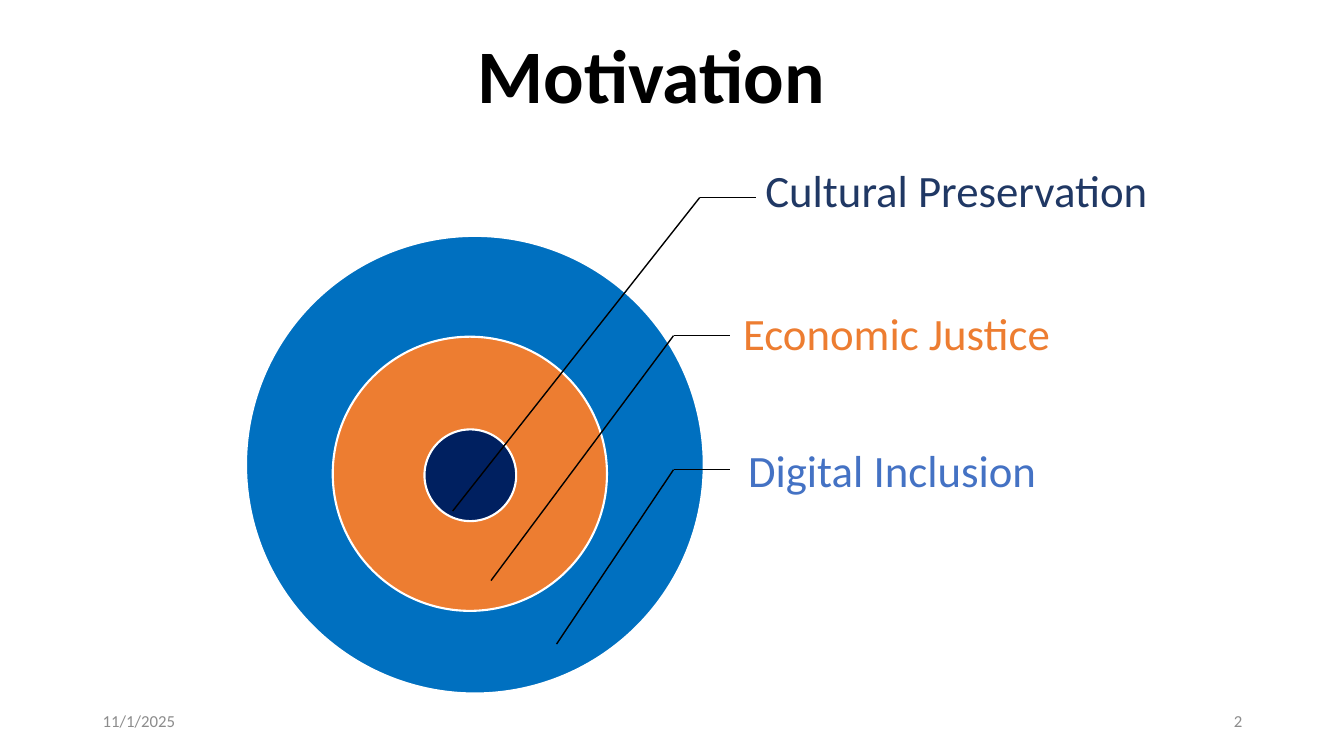
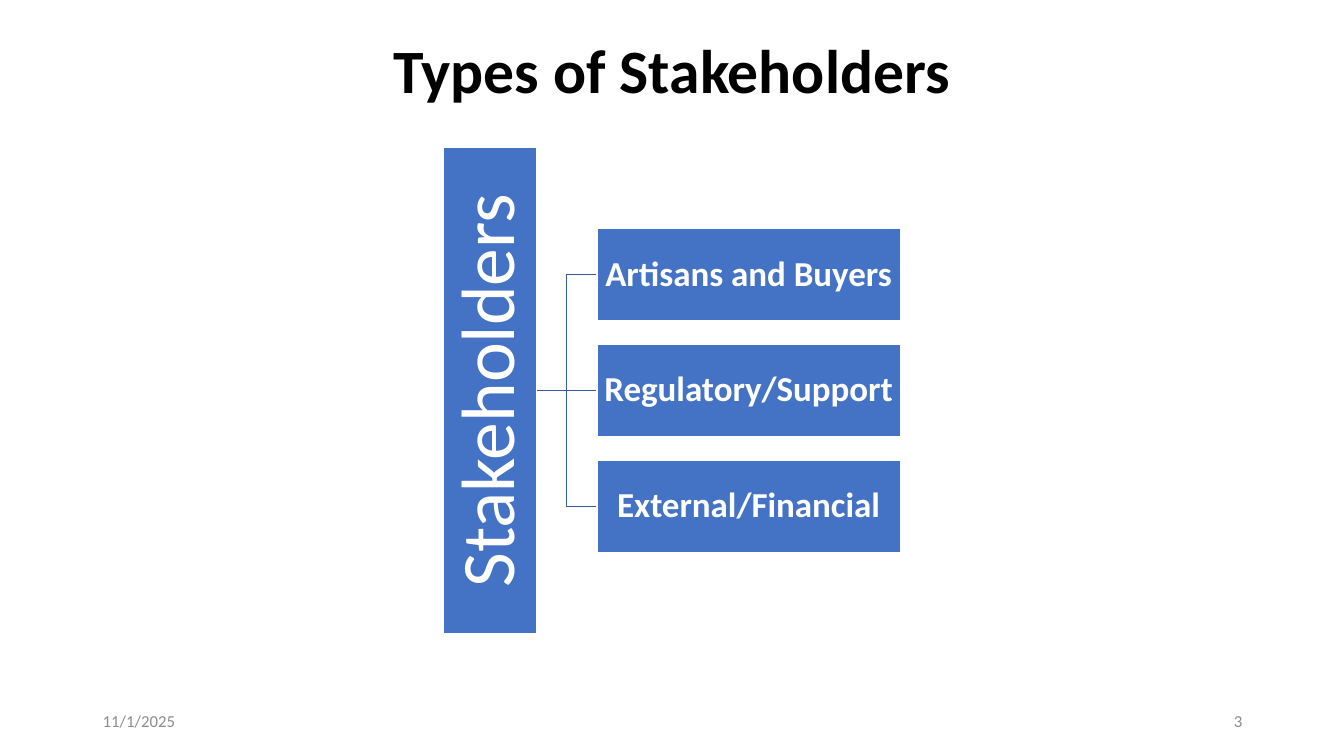
from lxml import etree
from pptx import Presentation
from pptx.dml.color import RGBColor as Rgb
from pptx.enum.shapes import MSO_CONNECTOR as Conn, MSO_SHAPE as Kind
from pptx.enum.text import MSO_ANCHOR as Anchor, PP_ALIGN as Align
from pptx.oxml.ns import qn
from pptx.util import Inches, Pt

FONT = "Calibri"
DATE = "11/1/2025"
COLORS = {
    "black": "000000", "white": "FFFFFF", "gray": "8C8C8C",
    "ring": "0070C0", "orange": "ED7D31", "core": "002060",
    "navy": "203864", "blue": "4472C4", "link": "365B9D",
}


def tint(name):
    return Rgb.from_string(COLORS[name])


def write(shape, text, size, color, bold=False, align=Align.LEFT,
          pads=(0.1, 0.05, 0.1, 0.05), space=0.9):
    """Fill a shape with one line of text, centred in height."""
    frame = shape.text_frame
    frame.word_wrap = True
    frame.vertical_anchor = Anchor.MIDDLE
    frame.margin_left, frame.margin_top, frame.margin_right, frame.margin_bottom = map(Inches, pads)
    para = frame.paragraphs[0]
    para.alignment = align
    para.line_spacing = space
    run = para.add_run()
    run.text = text
    font = run.font
    font.name, font.size, font.bold = FONT, Pt(size), bold
    font.color.rgb = tint(color)


def label(slide, box, text, size, color, **style):
    shape = slide.shapes.add_textbox(*map(Inches, box))
    write(shape, text, size, color, **style)


def block(slide, kind, box, fill, width):
    """Filled shape with a white edge."""
    shape = slide.shapes.add_shape(kind, *map(Inches, box))
    shape.shadow.inherit = False
    shape.fill.solid()
    shape.fill.fore_color.rgb = tint(fill)
    shape.line.color.rgb = tint("white")
    shape.line.width = Pt(width)
    return shape


def link(slide, start, end, color, kind=Conn.STRAIGHT):
    line = slide.shapes.add_connector(kind, *map(Inches, start + end))
    line.line.color.rgb = tint(color)
    line.line.width = Pt(1)
    etree.SubElement(line._element.spPr, qn("a:effectLst"))


def title(slide, box, text, size, space):
    label(slide, box, text, size, "black", bold=True, align=Align.CENTER, space=space)


def footer(slide, number):
    for left, text, align in ((0.92, DATE, Align.LEFT), (9.42, str(number), Align.RIGHT)):
        label(slide, (left, 6.95, 3, 0.4), text, 12, "gray", align=align, space=1)


def target(slide, left, top):
    """Nested circles, each with a bent leader and a label."""
    # Circles: offset, diameter, fill
    for x, y, size, fill in ((0, 0.89, 4.54, "ring"),
                             (0.86, 1.89, 2.72, "orange"),
                             (1.77, 2.81, 0.91, "core")):
        block(slide, Kind.OVAL, (left + x, top + y, size, size), fill, 1.5)

    # Labels: text, colour, box, leader knee and tip
    rows = (
        ("Cultural Preservation", "navy", (4.9, 0, 5.99, 0.92), (4.5, 0.51), (2.05, 3.62)),
        ("Economic Justice", "orange", (4.68, 1.49, 3.52, 0.79), (4.24, 1.88), (2.43, 4.31)),
        ("Digital Inclusion", "blue", (4.73, 2.66, 3.43, 1.16), (4.24, 3.21), (3.08, 4.94)),
    )
    for text, color, (x, y, wide, high), knee, tip in rows:
        label(slide, (left + x, top + y, wide, high), text, 32, color,
              pads=(0.25, 0.04, 0.04, 0.04))
        bend = (left + knee[0], top + knee[1])
        link(slide, bend, (bend[0] + 0.56, bend[1]), "black")
        link(slide, bend, (left + tip[0], top + tip[1]), "black")


def tree(slide, left, top, wide, high, root, names):
    """Upright root bar linked to a column of boxes."""
    bar, gap, step = 0.92, 0.6, 1.15
    mid = top + high / 2
    edge = left + bar
    col = edge + gap
    first = mid - step * (len(names) - 1) / 2

    # Links
    for i in range(len(names)):
        y = first + i * step
        kind = Conn.STRAIGHT if abs(y - mid) < 0.01 else Conn.ELBOW
        link(slide, (edge, mid), (col, y), "link", kind)

    # Root, turned to read upwards
    box = (left + (bar - high) / 2, mid - bar / 2, high, bar)
    shape = block(slide, Kind.RECTANGLE, box, "blue", 1)
    shape.rotation = 270
    write(shape, root, 54, "white", align=Align.CENTER, pads=(0.04,) * 4)

    # Leaves
    for i, name in enumerate(names):
        box = (col, first + i * step - bar / 2, left + wide - col, bar)
        shape = block(slide, Kind.RECTANGLE, box, "blue", 1)
        write(shape, name, 25, "white", bold=True, align=Align.CENTER, pads=(0.02,) * 4)


def main():
    deck = Presentation()
    deck.slide_width, deck.slide_height = Inches(13.33), Inches(7.5)
    blank = deck.slide_layouts[6]

    # Motivation
    slide = deck.slides.add_slide(blank)
    target(slide, 2.44, 1.45)
    title(slide, (4.61, 0.22, 3.7, 1.01), "Motivation", 54, 1)
    footer(slide, 2)

    # Stakeholders
    slide = deck.slides.add_slide(blank)
    title(slide, (0, 0, 13.33, 1.45), "Types of Stakeholders", 44, 0.9)
    tree(slide, 4.4, 1.46, 4.53, 4.83, "Stakeholders",
         ("Artisans and Buyers", "Regulatory/Support", "External/Financial"))
    footer(slide, 3)

    deck.save("out.pptx")


if __name__ == "__main__":
    main()
